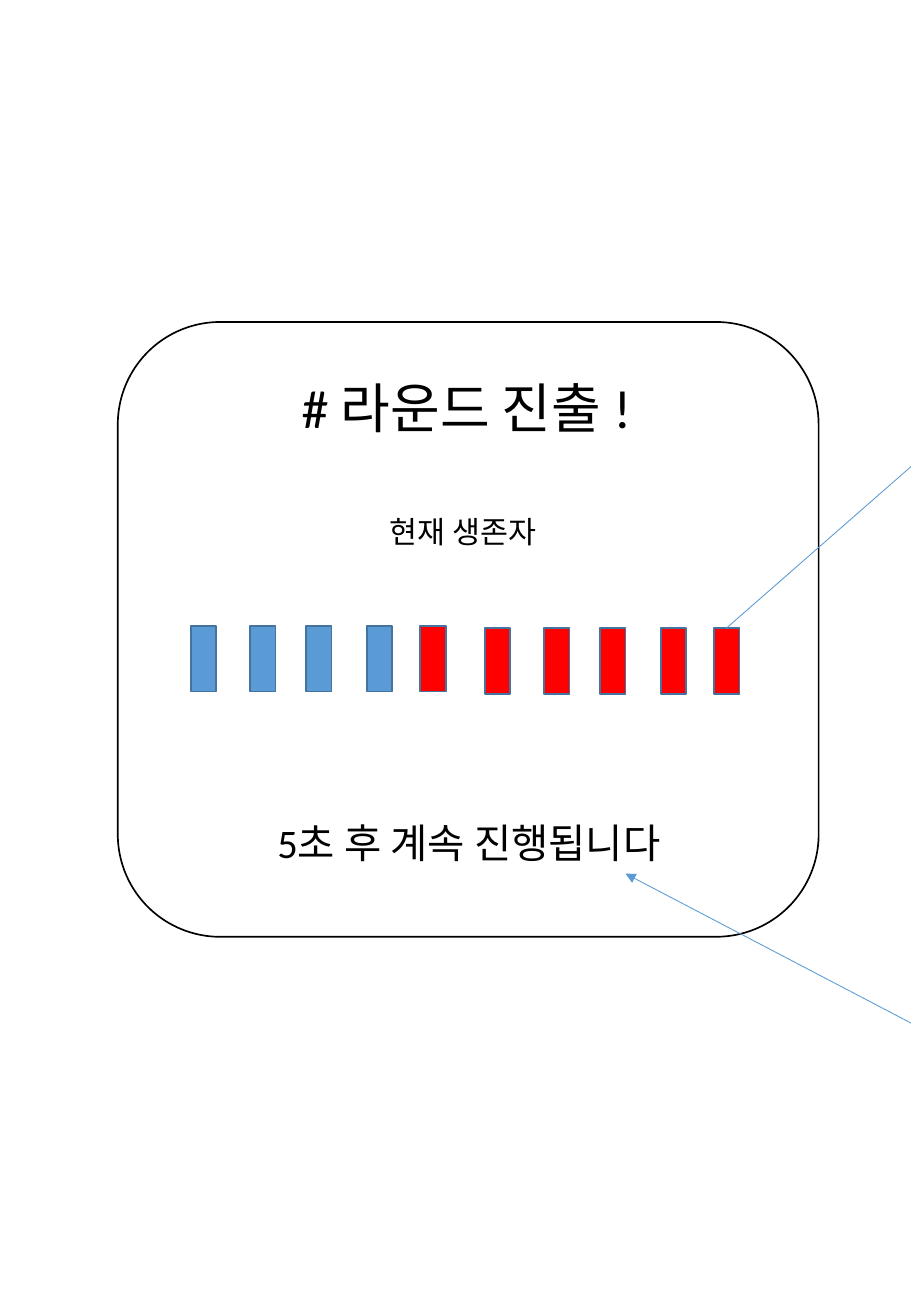
from dataclasses import dataclass

from lxml import etree
from pptx import Presentation
from pptx import util as u
from pptx.dml.color import RGBColor
from pptx.enum import shapes, text
from pptx.oxml.ns import qn

BLACK, WHITE = "000000", "FFFFFF"
BLUE, DARK_BLUE, RED = "5B9BD5", "43739E", "FF0000"


@dataclass
class Box:
    left: float
    top: float
    width: float
    height: float

    def lengths(self) -> list[u.Length]:
        return [u.Inches(v) for v in (self.left, self.top, self.width, self.height)]


@dataclass
class Label:
    box: Box
    wording: str
    size: int


@dataclass
class Arrow:
    start: tuple[float, float]
    end: tuple[float, float]


def color(value: str) -> RGBColor:
    return RGBColor.from_string(value)


def draw_shape(slide, kind: shapes.MSO_SHAPE, box: Box, fill: str, line: str) -> None:
    shape = slide.shapes.add_shape(kind, *box.lengths())
    shape.shadow.inherit = False
    shape.fill.solid()
    shape.fill.fore_color.rgb = color(fill)
    shape.line.color.rgb = color(line)
    shape.line.width = u.Pt(1)


def draw_label(slide, label: Label) -> None:
    frame = slide.shapes.add_textbox(*label.box.lengths()).text_frame
    frame.word_wrap = True
    frame.auto_size = text.MSO_AUTO_SIZE.SHAPE_TO_FIT_TEXT
    paragraph = frame.paragraphs[0]
    paragraph.alignment = text.PP_ALIGN.CENTER
    run = paragraph.add_run()
    run.text = label.wording
    run.font.name = "Calibri"
    run.font.size = u.Pt(label.size)
    run.font.color.rgb = color(BLACK)


def draw_arrow(slide, arrow: Arrow) -> None:
    ends = [u.Inches(v) for v in (*arrow.start, *arrow.end)]
    connector = slide.shapes.add_connector(shapes.MSO_CONNECTOR.STRAIGHT, *ends)
    connector.line.color.rgb = color(BLUE)
    connector.line.width = u.Pt(0.5)
    etree.SubElement(connector.line._get_or_add_ln(), qn("a:tailEnd"), type="triangle")
    etree.SubElement(connector._element.spPr, qn("a:effectLst"))


presentation = Presentation()
presentation.slide_width = u.Inches(7.5)
presentation.slide_height = u.Inches(10.83)
slide = presentation.slides.add_slide(presentation.slide_layouts[6])

# Dialog panel
draw_shape(slide, shapes.MSO_SHAPE.ROUNDED_RECTANGLE,
           Box(0.97, 2.65, 5.77, 5.06), WHITE, BLACK)

# Messages
for label in (
    Label(Box(1.84, 3.03, 4, 0.64), "# 라운드 진출 !", 32),
    Label(Box(2.92, 4.17, 1.78, 0.4), "현재 생존자", 18),
    Label(Box(1.92, 6.68, 3.88, 0.5), "5초 후 계속 진행됩니다", 24),
):
    draw_label(slide, label)

# Players: two equal groups of five, the first four still alive
SURVIVORS = 4
PLAYER_OFFSETS = (0, 0.49, 0.95, 1.45, 1.89)
GROUP_ORIGINS = ((1.57, 5.15), (3.99, 5.17))
players = [Box(left + offset, top, 0.21, 0.54)
           for left, top in GROUP_ORIGINS for offset in PLAYER_OFFSETS]
for index, player in enumerate(players):
    draw_shape(slide, shapes.MSO_SHAPE.RECTANGLE, player,
               BLUE if index < SURVIVORS else RED, DARK_BLUE)

# Arrows running past the right edge
for arrow in (Arrow((5.98, 5.17), (8.06, 3.35)), Arrow((8.19, 8.78), (5.15, 7.19))):
    draw_arrow(slide, arrow)

presentation.save("out.pptx")
